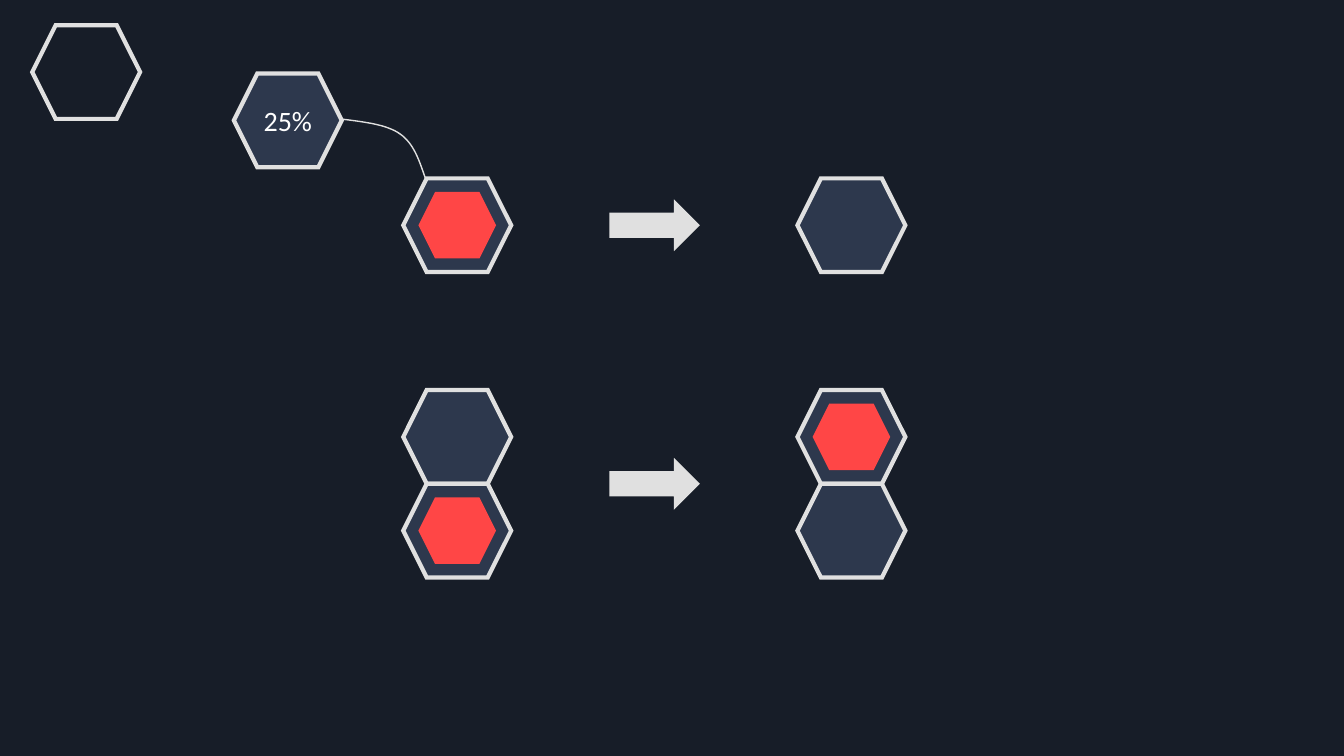
from lxml.etree import SubElement
from pptx import Presentation
from pptx.dml.color import RGBColor
from pptx.enum.shapes import MSO_SHAPE as SHAPE
from pptx.enum.text import MSO_ANCHOR as ANCHOR, PP_ALIGN as ALIGN
from pptx.oxml.ns import qn
from pptx.util import Inches, Pt


def rgb(value):
    return RGBColor.from_string(value)


class Board:
    background = "171D28"
    cell = "2D384D"
    outline = "E0E0E0"
    marker = "FF4646"
    text = "FFFFFF"
    font = "Calibri"
    width, height = 1.07, 0.93

    def __init__(self, prs):
        self.s = prs.slides.add_slide(prs.slide_layouts[6])
        fill = self.s.background.fill
        fill.solid()
        fill.fore_color.rgb = rgb(self.background)

    def paint(self, sp, fill=None, weight=None):
        sp.shadow.inherit = False
        if fill:
            sp.fill.solid()
            sp.fill.fore_color.rgb = rgb(fill)
        else:
            sp.fill.background()
        if weight:
            sp.line.color.rgb = rgb(self.outline)
            sp.line.width = Pt(weight)
            SubElement(sp.line._get_or_add_ln(), qn("a:miter"), lim="800000")
        else:
            sp.line.fill.background()

    def shape(self, kind, x, y, w, h, fill=None, weight=None):
        sp = self.s.shapes.add_shape(kind, Inches(x), Inches(y), Inches(w), Inches(h))
        self.paint(sp, fill, weight)
        return sp

    def hexagon(self, x, y, fill=None):
        return self.shape(SHAPE.HEXAGON, x, y, self.width, self.height, fill, 3)

    def token(self, x, y):
        w, h = 0.77, 0.66
        self.shape(SHAPE.HEXAGON, x + (self.width - w) / 2,
                   y + (self.height - h) / 2, w, h, self.marker)

    def arrow(self, center_y):
        w, h = 0.86, 0.44
        self.shape(SHAPE.RIGHT_ARROW, 6.06, center_y - h / 2, w, h, self.outline, 2.25)

    def label(self, sp, text):
        tf = sp.text_frame
        tf.text = text
        tf.word_wrap = False
        tf.vertical_anchor = ANCHOR.MIDDLE
        p = tf.paragraphs[0]
        p.alignment = ALIGN.CENTER
        r = p.runs[0]
        r.font.name = self.font
        r.font.size = Pt(20)
        r.font.color.rgb = rgb(self.text)

    def curve(self, start, *segments, steps=16):
        points, p0 = [], start
        for p1, p2, p3 in segments:
            for i in range(1, steps + 1):
                t = i / steps
                u = 1 - t
                points.append(tuple(
                    Inches(u**3 * a + 3 * u * u * t * b + 3 * u * t * t * c + t**3 * d)
                    for a, b, c, d in zip(p0, p1, p2, p3)))
            p0 = p3
        builder = self.s.shapes.build_freeform(Inches(start[0]), Inches(start[1]))
        builder.add_line_segments(points, close=False)
        self.paint(builder.convert_to_shape(), weight=1)


prs = Presentation()
prs.slide_width, prs.slide_height = Inches(13.33), Inches(7.5)
board = Board(prs)

before, after = 4, 7.91
single, upper = 1.77, 3.87
lower = upper + board.height

for x in (before, after):
    for y in (upper, lower, single):
        board.hexagon(x, y, board.cell)
for x, y in ((before, lower), (after, upper), (before, single)):
    board.token(x, y)
for center_y in (lower, single + board.height / 2):
    board.arrow(center_y)

chance = board.hexagon(2.32, 0.73, board.cell)
board.label(chance, "25%")
board.curve((3.38, 1.18),
            ((3.6, 1.21), (3.83, 1.23), (3.97, 1.33)),
            ((4.11, 1.43), (4.16, 1.6), (4.22, 1.77)))
board.hexagon(0.32, 0.25)

prs.save("out.pptx")
